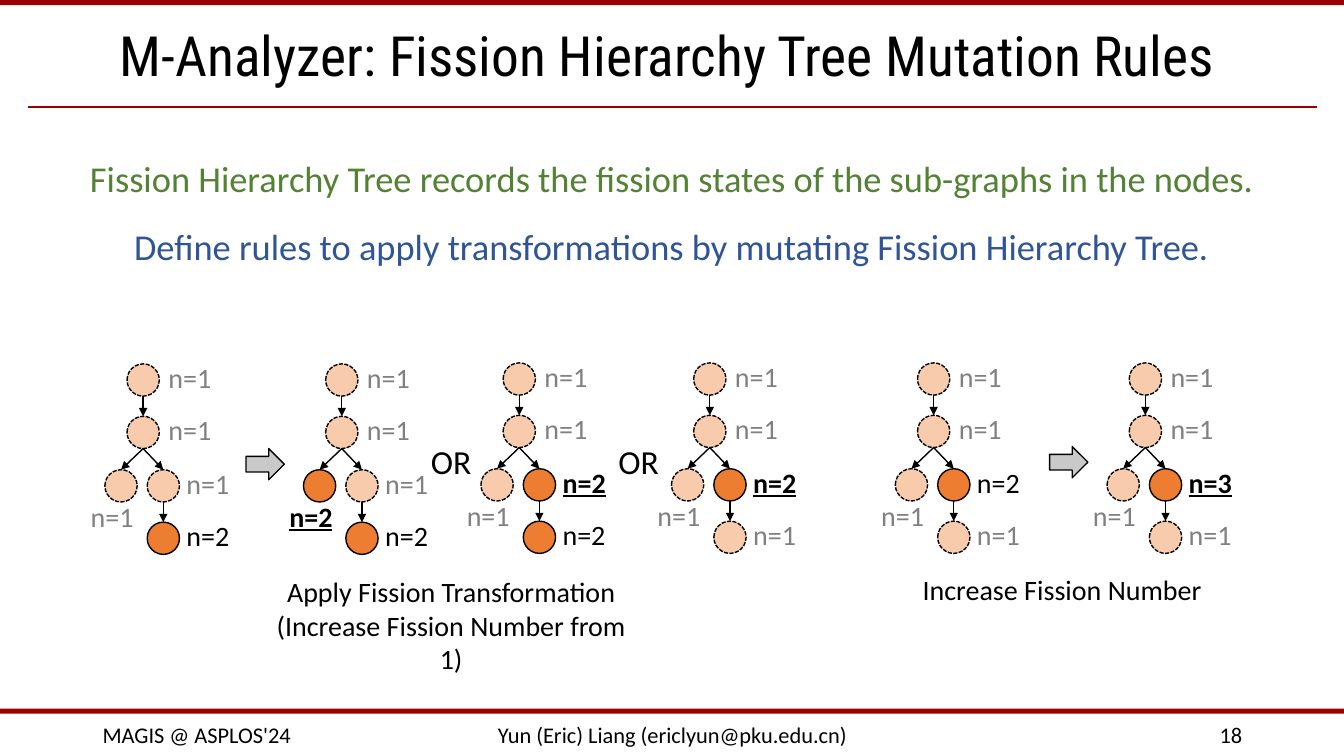
"""Build the slide on mutation rules of the fission hierarchy tree."""
from lxml.etree import SubElement
from pptx import Presentation
from pptx.dml.color import RGBColor
from pptx.enum.dml import MSO_LINE
from pptx.enum.shapes import MSO_CONNECTOR, MSO_SHAPE
from pptx.enum.text import MSO_ANCHOR, PP_ALIGN
from pptx.oxml.ns import qn
from pptx.util import Emu, Pt

PX = 9144
COLORS = {"bar": "9A0000", "black": "000000", "gray": "808080", "blue": "2F5597",
          "green": "548235", "pale": "F8CBAD", "orange": "ED7D31", "arrow": "C9C9C9"}
LEFT, CENTER, RIGHT = PP_ALIGN.LEFT, PP_ALIGN.CENTER, PP_ALIGN.RIGHT

TITLE = "M-Analyzer: Fission Hierarchy Tree Mutation Rules"
TEXTS = [
    ("Fission Hierarchy Tree records the fission states of the sub-graphs in the nodes.",
     (23, 150, 1288, 54), 26, "green", CENTER, MSO_ANCHOR.TOP),
    ("Define rules to apply transformations by mutating Fission Hierarchy Tree.",
     (-13, 217, 1359, 54), 26, "blue", CENTER, MSO_ANCHOR.TOP),
    ("OR", (409, 433, 77, 50), 24, "black", CENTER, MSO_ANCHOR.TOP),
    ("OR", (595, 433, 77, 50), 24, "black", CENTER, MSO_ANCHOR.TOP),
    ("Apply Fission Transformation (Increase Fission Number from 1)",
     (251, 565, 393, 77), 20, "black", CENTER, MSO_ANCHOR.TOP),
    ("Increase Fission Number", (855, 563, 397, 44), 20, "black", CENTER, MSO_ANCHOR.TOP),
    ("MAGIS @ ASPLOS'24", (92, 709, 300, 40), 16, "black", LEFT, MSO_ANCHOR.MIDDLE),
    ("Yun (Eric) Liang (ericlyun@pku.edu.cn)", (442, 709, 450, 40), 16, "black", CENTER,
     MSO_ANCHOR.MIDDLE),
    ("18", (942, 709, 300, 40), 16, "black", RIGHT, MSO_ANCHOR.MIDDLE),
]
BARS = [(0, 0, 1335, 5), (0, 703, 1335, 5)]
ARROWS = [(244, 445, 38, 31), (1041, 443, 38, 31)]

NODE = 32
NODES = [(0, 0), (0, 52), (-22, 105), (20, 105), (20, 157)]
LABELS = [(41, -6), (41, 46), (-36, 132), (59, 99), (59, 151)]
EDGES = [(0, 1), (1, 2), (1, 3), (3, 4)]
TREES = [
    ((126, 361), (1, 1, 1, 1, 2), None),
    ((323, 361), (1, 1, 2, 1, 2), 2),
    ((499, 360), (1, 1, 1, 2, 2), 3),
    ((688, 360), (1, 1, 1, 2, 1), 3),
    ((910, 360), (1, 1, 1, 2, 1), None),
    ((1120, 360), (1, 1, 1, 3, 1), 3),
]


def px(*lengths):
    return [Emu(n * PX) for n in lengths]


def rgb(name):
    return RGBColor.from_string(COLORS[name])


def fill_text(sp, text, size, color="black", align=LEFT, anchor=MSO_ANCHOR.MIDDLE,
              font="Calibri"):
    tf = sp.text_frame
    tf.text = text
    tf.word_wrap = True
    tf.vertical_anchor = anchor
    p = tf.paragraphs[0]
    p.alignment = align
    r = p.runs[0]
    r.font.name, r.font.size = font, Pt(size)
    r.font.color.rgb = rgb(color)
    return p


def add_shape(shapes, kind, box, fill, line="black"):
    sp = shapes.add_shape(kind, *px(*box))
    sp.shadow.inherit = False
    sp.fill.solid()
    sp.fill.fore_color.rgb = rgb(fill)
    if line:
        sp.line.color.rgb = rgb(line)
        sp.line.width = Pt(1)
    else:
        sp.line.fill.background()
    return sp


def add_line(shapes, ends, color, width, arrow=False):
    c = shapes.add_connector(MSO_CONNECTOR.STRAIGHT, *px(*ends))
    c.line.color.rgb = rgb(color)
    c.line.width = Pt(width)
    if arrow:
        SubElement(c.line._get_or_add_ln(), qn("a:tailEnd"), type="triangle")
    SubElement(c._element.spPr, qn("a:effectLst"))


def add_tree(s, root, numbers, changed):
    shapes = s.shapes.add_group_shape().shapes
    x, y = root
    for (dx, dy), n in zip(NODES, numbers):
        box = (x + dx, y + dy, NODE, NODE)
        sp = add_shape(shapes, MSO_SHAPE.OVAL, box, "orange" if n > 1 else "pale")
        if n == 1:
            sp.line.dash_style = MSO_LINE.SQUARE_DOT
    for a, b in EDGES:
        (ax, ay), (bx, by) = NODES[a], NODES[b]
        mid = x + NODE // 2
        add_line(shapes, (mid + ax, y + ay + NODE, mid + bx, y + by), "black", 1, True)
    for i, ((dx, dy), n) in enumerate(zip(LABELS, numbers)):
        sp = shapes.add_textbox(*px(x + dx, y + dy, 54, 38))
        tf = sp.text_frame
        tf.margin_left = tf.margin_right = tf.margin_top = tf.margin_bottom = 0
        p = fill_text(sp, f"n={n}", 20, "black" if n > 1 else "gray")
        if i == changed:
            p.runs[0].font.bold = p.runs[0].font.underline = True


def main():
    prs = Presentation()
    prs.slide_width, prs.slide_height = px(1333, 750)
    s = prs.slides.add_slide(prs.slide_layouts[5])
    title = s.shapes.title
    title.left, title.top, title.width, title.height = px(109, 17, 1150, 83)
    fill_text(title, TITLE, 39.6, font="Roboto Condensed").line_spacing = 0.9
    for box in BARS:
        add_shape(s.shapes, MSO_SHAPE.RECTANGLE, box, "bar", None)
    add_line(s.shapes, (28, 106, 1306, 106), "bar", 1.5)
    for text, box, *style in TEXTS:
        fill_text(s.shapes.add_textbox(*px(*box)), text, *style)
    for tree in TREES:
        add_tree(s, *tree)
    for box in ARROWS:
        add_shape(s.shapes, MSO_SHAPE.RIGHT_ARROW, box, "arrow")
    prs.save("out.pptx")


if __name__ == "__main__":
    main()
